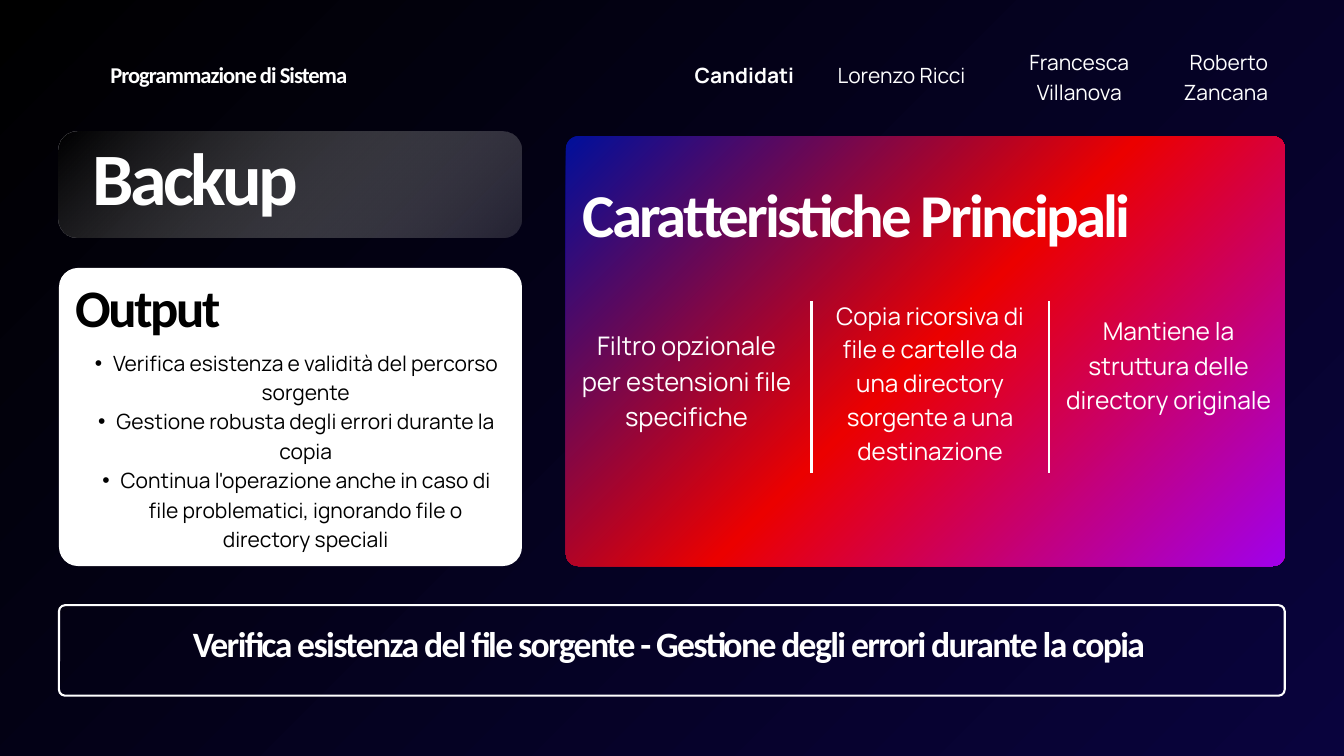
from lxml.etree import SubElement
from pptx import Presentation
from pptx.dml.color import RGBColor
from pptx.enum.shapes import MSO_CONNECTOR, MSO_SHAPE
from pptx.enum.text import MSO_AUTO_SIZE, PP_ALIGN
from pptx.oxml.ns import qn
from pptx.util import Cm, Pt

HUES = {
    "white": "FFFFFF", "black": "000000", "night": "09033D", "mist": "DDDDDD",
    "blue": "000F9B", "red": "EB0000", "purple": "A000EB",
}
HEAD, BODY = "Calibri", "Manrope"
LEFT, MID, RIGHT = PP_ALIGN.LEFT, PP_ALIGN.CENTER, PP_ALIGN.RIGHT


def fade(fill, root, stops):
    """Fill with a diagonal gradient; stops are (hue, alpha %), evenly spread."""
    fill.gradient()
    fill.gradient_angle = 315
    track = root.find(".//" + qn("a:gsLst"))
    for old in list(track):
        track.remove(old)
    for i, (hue, alpha) in enumerate(stops):
        stop = SubElement(track, qn("a:gs"), pos=str(100000 * i // (len(stops) - 1)))
        tint = SubElement(stop, qn("a:srgbClr"), val=HUES[hue])
        if alpha < 100:
            SubElement(tint, qn("a:alpha"), val=str(alpha * 1000))


def write(box, lines, size, lead, face=BODY, hue="white", align=MID, bold=False, dots=False):
    """Add a text box; headings are tightened by 4.5 % of their size."""
    frame = slide.shapes.add_textbox(*map(Cm, box)).text_frame
    frame.margin_left = frame.margin_top = frame.margin_right = frame.margin_bottom = 0
    frame.word_wrap = True
    frame.auto_size = MSO_AUTO_SIZE.SHAPE_TO_FIT_TEXT
    frame.text = "\n".join(lines)
    for para in frame.paragraphs:
        para.alignment = align
        para.line_spacing = Pt(lead)
        props = para._p.get_or_add_pPr()
        if dots:
            para.level = 1
            props.set("marL", str(Cm(1.35)))
            props.set("indent", str(Cm(-0.69)))
            SubElement(props, qn("a:buFont"), typeface="Arial")
            SubElement(props, qn("a:buChar"), char="•")
        font = para.font
        font.name, font.size, font.bold = face, Pt(size), bold
        font.color.rgb = RGBColor.from_string(HUES[hue])
        if face == HEAD:
            props.find(qn("a:defRPr")).set("spc", str(round(-4.5 * size)))


deck = Presentation()
deck.slide_width, deck.slide_height = Cm(50.8), Cm(28.58)
slide = deck.slides.add_slide(deck.slide_layouts[6])
fade(slide.background.fill, slide._element, [("black", 100), ("night", 100)])

# Cards: box, corner radius, gradient stops or plain hue
cards = [
    ((2.23, 4.98, 17.5, 3.99), 0.72, [("black", 78), ("mist", 15)]),
    ((21.39, 5.15, 27.18, 16.25), 0.47, [("blue", 100), ("red", 100), ("purple", 100)]),
    ((2.23, 22.88, 46.33, 3.42), 0.23, None),
    ((2.23, 10.13, 17.5, 11.27), 0.72, "white"),
]
for box, curve, paint in cards:
    card = slide.shapes.add_shape(MSO_SHAPE.ROUNDED_RECTANGLE, *map(Cm, box))
    card.shadow.inherit = False
    card.adjustments[0] = curve / min(box[2:])
    if paint is None:
        card.fill.background()
        card.line.color.rgb = RGBColor.from_string(HUES["white"])
        card.line.width = Pt(2.25)
        continue
    card.line.fill.background()
    if paint in HUES.keys() if isinstance(paint, str) else False:
        card.fill.solid()
        card.fill.fore_color.rgb = RGBColor.from_string(HUES[paint])
    else:
        fade(card.fill, card._element, paint)

# Headings: box, text, size, leading, alignment, hue
heads = [
    ((22.02, 7.11, 26.14, 2.62), "Caratteristiche Principali", 65.2, 66.5, LEFT, "white"),
    ((2.64, 23.77, 45.29, 1.52),
     "Verifica esistenza del file sorgente - Gestione degli errori durante la copia",
     38.2, 39, MID, "white"),
    ((4.17, 2.13, 11.38, 1.24), "Programmazione di Sistema", 24.2, 33.9, LEFT, "white"),
    ((3.48, 5.46, 9.8, 3.18), "Backup", 79.2, 80.8, LEFT, "white"),
    ((2.84, 10.74, 14, 2.29), "Output", 56.5, 57.6, LEFT, "black"),
]
for box, text, size, lead, align, hue in heads:
    write(box, [text], size, lead, HEAD, hue, align, bold=True)

# Candidates
names = [
    ((25.4, 2.21, 4.62, 1.12), "Candidati", RIGHT),
    ((31.42, 2.21, 5.31, 1.14), "Lorenzo Ricci", MID),
    ((38.13, 1.73, 5.33, 2.26), "Francesca Villanova", MID),
    ((41.76, 1.73, 6.17, 2.26), "Roberto Zancana", RIGHT),
]
for box, name, align in names:
    write(box, [name], 22.5, 31.5, align=align, bold=name == "Candidati")

# Main features, with rules between them
traits = [
    ((21.87, 12.27, 8.15, 5.46), "Filtro opzionale per estensioni file specifiche", 27.4, 38.4),
    ((31.27, 11.2, 7.77, 7.67),
     "Copia ricorsiva di file e cartelle da una directory sorgente a una destinazione",
     25.9, 36.2),
    ((40.18, 11.76, 7.98, 6.5), "Mantiene la struttura delle directory originale", 26.3, 36.9),
]
for box, text, size, lead in traits:
    write(box, [text], size, lead)

for x in (30.66, 39.65):
    rule = slide.shapes.add_connector(
        MSO_CONNECTOR.STRAIGHT, Cm(x), Cm(17.88), Cm(x), Cm(11.38))
    rule.line.color.rgb = RGBColor.from_string(HUES["white"])
    rule.line.width = Pt(3)
    SubElement(rule._element.spPr, qn("a:effectLst"))

checks = [
    "Verifica esistenza e validità del percorso sorgente",
    "Gestione robusta degli errori durante la copia",
    "Continua l'operazione anche in caso di file problematici, ignorando file o directory speciali",
]
write((2.84, 13.08, 16.08, 8.92), checks, 22.5, 31.5, hue="black", dots=True)

deck.save("out.pptx")
